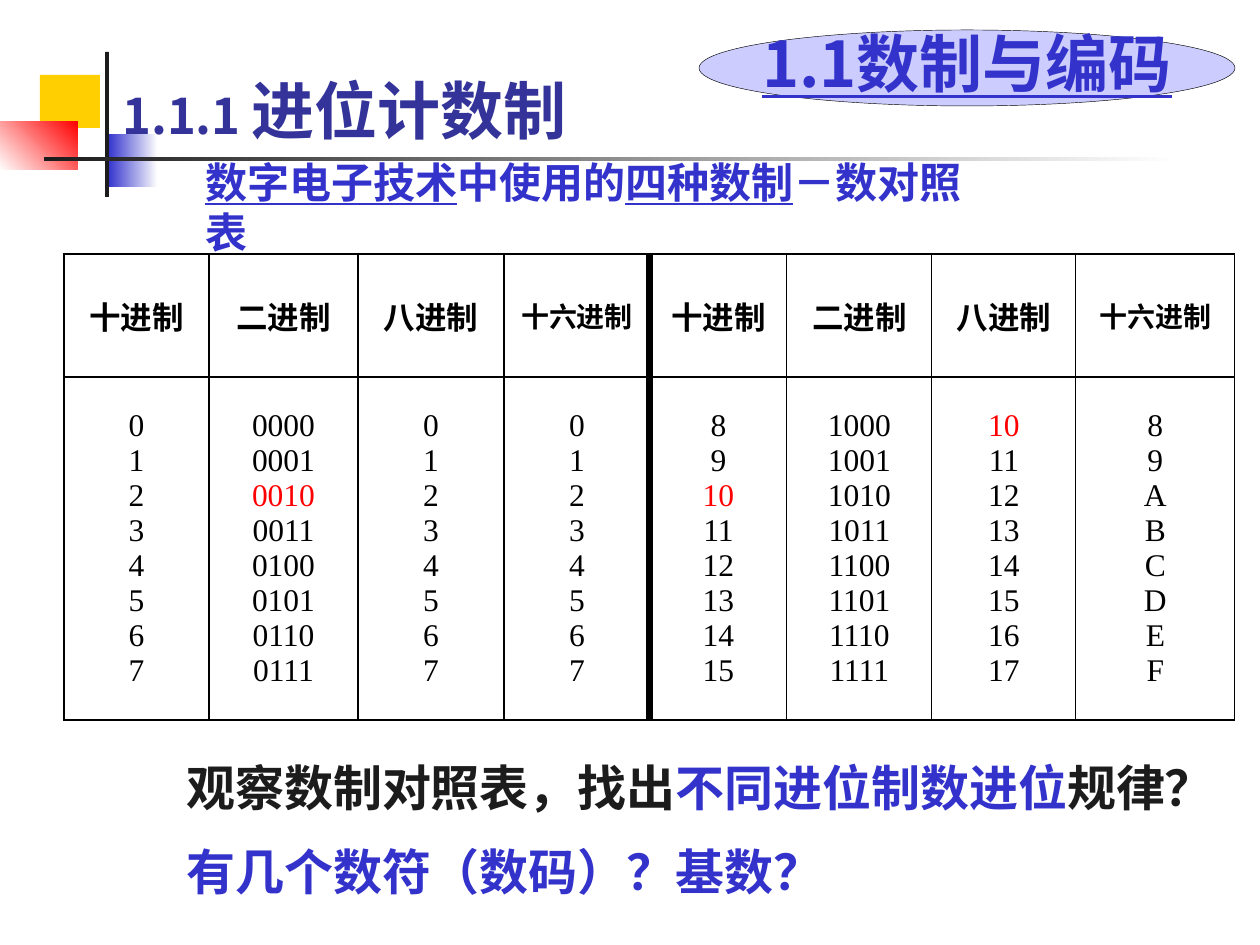
import pptx
import pptx.util
import pptx.dml.color
import pptx.enum.shapes
import pptx.enum.text
import pptx.oxml
import pptx.oxml.ns
from dataclasses import dataclass

SCALE = 914400 / 126  # EMU in one px
SHAPE = pptx.enum.shapes.MSO_SHAPE
ALIGN = pptx.enum.text.PP_ALIGN
ANCHOR = pptx.enum.text.MSO_ANCHOR


@dataclass(frozen=True)
class Theme:
    sans: str = "Noto Sans CJK SC"
    serif: str = "Times New Roman"
    black: str = "000000"
    white: str = "FFFFFF"
    ink: str = "1C1C1C"
    navy: str = "333399"
    blue: str = "3333CC"
    pale: str = "CCCCFF"
    red: str = "FF0000"
    gold: str = "FFCF01"
    head: int = 36
    large: int = 28
    sub: int = 24
    cell: int = 18
    small: int = 16


T = Theme()


def px(*nums):
    return [pptx.util.Emu(round(n * SCALE)) for n in nums]


def rgb(code):
    return pptx.dml.color.RGBColor.from_string(code)


def write(par, text, size=T.cell, color=T.black, font=T.sans, bold=True, under=False):
    """Add one run of text with its format."""
    run = par.add_run()
    run.text = text
    face = run.font
    face.size, face.bold, face.underline = pptx.util.Pt(size), bold, under
    face.color.rgb = rgb(color)
    face.name = font
    asian = pptx.oxml.parse_xml(
        f'<a:ea {pptx.oxml.ns.nsdecls("a")} typeface="{T.sans}"/>')
    face._element.find(pptx.oxml.ns.qn("a:latin")).addnext(asian)


def shape(slide, kind, box, fill, angle=0, line=None):
    """A plain fill is one colour; a pair of colours is a gradient."""
    item = slide.shapes.add_shape(kind, *px(*box))
    item.shadow.inherit = False
    if isinstance(fill, tuple):
        item.fill.gradient()
        item.fill.gradient_angle = angle
        for stop, code in zip(item.fill.gradient_stops, fill):
            stop.color.rgb = rgb(code)
    else:
        item.fill.solid()
        item.fill.fore_color.rgb = rgb(fill)
    if line:
        item.line.color.rgb = rgb(line)
        item.line.width = pptx.util.Pt(0.25)
    else:
        item.line.fill.background()


def textbox(slide, box, anchor=ANCHOR.MIDDLE, grow=True):
    frame = slide.shapes.add_textbox(*px(*box)).text_frame
    frame.word_wrap = True
    frame.vertical_anchor = anchor
    if grow:
        frame.auto_size = pptx.enum.text.MSO_AUTO_SIZE.SHAPE_TO_FIT_TEXT
    return frame


def border(cell, **sides):
    """Line widths in points for the cell sides L, R, T, B."""
    props = cell._tc.get_or_add_tcPr()
    for spot, side in enumerate("LRTB"):
        width = round(sides.get(side, 0.75) * 12700)
        props.insert(spot, pptx.oxml.parse_xml(
            f'<a:ln{side} {pptx.oxml.ns.nsdecls("a")} w="{width}"><a:solidFill>'
            f'<a:srgbClr val="{T.black}"/></a:solidFill></a:ln{side}>'))


def decor(slide):
    rect = SHAPE.RECTANGLE
    shape(slide, rect, (40, 75, 60, 53), T.gold)
    shape(slide, rect, (108, 134, 50, 53), (T.blue, T.white))
    shape(slide, rect, (0, 122, 78, 48), (T.white, T.red), angle=45)
    shape(slide, rect, (105, 52, 4, 145), T.ink)
    shape(slide, rect, (44, 157, 1134, 4), (T.ink, T.white))


def titles(slide):
    # Section heading
    frame = textbox(slide, (110, 50, 809, 97), ANCHOR.BOTTOM, grow=False)
    frame.margin_bottom = 0
    par = frame.paragraphs[0]
    write(par, "1.1.1 ", size=T.large, color=T.navy)
    write(par, "进位计数制", size=T.head, color=T.navy)

    # Chapter badge
    shape(slide, SHAPE.OVAL, (699, 30, 536, 76), T.pale, line=T.black)
    par = textbox(slide, (699, 18, 536, 88)).paragraphs[0]
    par.alignment = ALIGN.CENTER
    write(par, "1.1数制与编码", size=T.head, color=T.blue, under=True)

    # Table caption
    frame = textbox(slide, (193, 175, 912, 63))
    frame.margin_right = px(120)[0]
    par = frame.paragraphs[0]
    par.line_spacing = pptx.util.Pt(29)
    for text, under in (("数字电子技术", True), ("中使用的", False),
                        ("四种数制", True), ("－数对照表", False)):
        write(par, text, size=T.sub, color=T.blue, under=under)


def numbers(slide):
    """Values 0 to 7 on the left, 8 to 15 on the right, in four bases."""
    bases = (("十进制", "d", T.cell), ("二进制", "04b", T.cell),
             ("八进制", "o", T.cell), ("十六进制", "X", T.small))
    marks = {(1, 2), (4, 10), (6, 8)}  # column and value shown in red
    wide = (145, 149, 146, 146, 137, 145, 144, 159)
    tall = (123, 343)
    frame = slide.shapes.add_table(2, 8, *px(64, 254, sum(wide), sum(tall)))
    table = frame.table
    table.first_row = table.horz_banding = False
    for row, high in zip(table.rows, px(*tall)):
        row.height = high
    for col, width in enumerate(px(*wide)):
        table.columns[col].width = width
        half, base = divmod(col, 4)
        name, form, size = bases[base]
        top, body = table.cell(0, col), table.cell(1, col)
        for cell in (top, body):
            cell.fill.background()
            cell.vertical_anchor = ANCHOR.MIDDLE
            border(cell, **{3: {"R": 4.5}, 4: {"L": 4.5}}.get(col, {}))
        par = top.text_frame.paragraphs[0]
        par.alignment = ALIGN.CENTER
        write(par, name, size=size)
        for row in range(8):
            value = half * 8 + row
            text = body.text_frame
            par = text.add_paragraph() if row else text.paragraphs[0]
            par.alignment = ALIGN.CENTER
            par.line_spacing = pptx.util.Pt(20)
            write(par, format(value, form), font=T.serif, bold=False,
                  color=T.red if (col, value) in marks else T.black)


def prompts(slide):
    frame = textbox(slide, (74, 735, 1111, 189))
    lines = ((("观察数制对照表，找出", T.ink), ("不同进位制数进位", T.blue),
              ("规律？", T.ink)),
             (("有几个数符（数码）？基数？", T.blue),))
    for row, runs in enumerate(lines):
        par = frame.add_paragraph() if row else frame.paragraphs[0]
        par._p.get_or_add_pPr().set("indent", str(px(100)[0]))
        par.line_spacing = pptx.util.Pt(33.5)
        if row:
            par.space_before = pptx.util.Pt(14.5)
        for text, color in runs:
            write(par, text, size=T.large, color=color, font=T.serif)


def main():
    deck = pptx.Presentation()
    deck.slide_width, deck.slide_height = px(1260, 945)
    slide = deck.slides.add_slide(deck.slide_layouts[6])
    decor(slide)
    titles(slide)
    numbers(slide)
    prompts(slide)
    deck.save("out.pptx")


if __name__ == "__main__":
    main()
